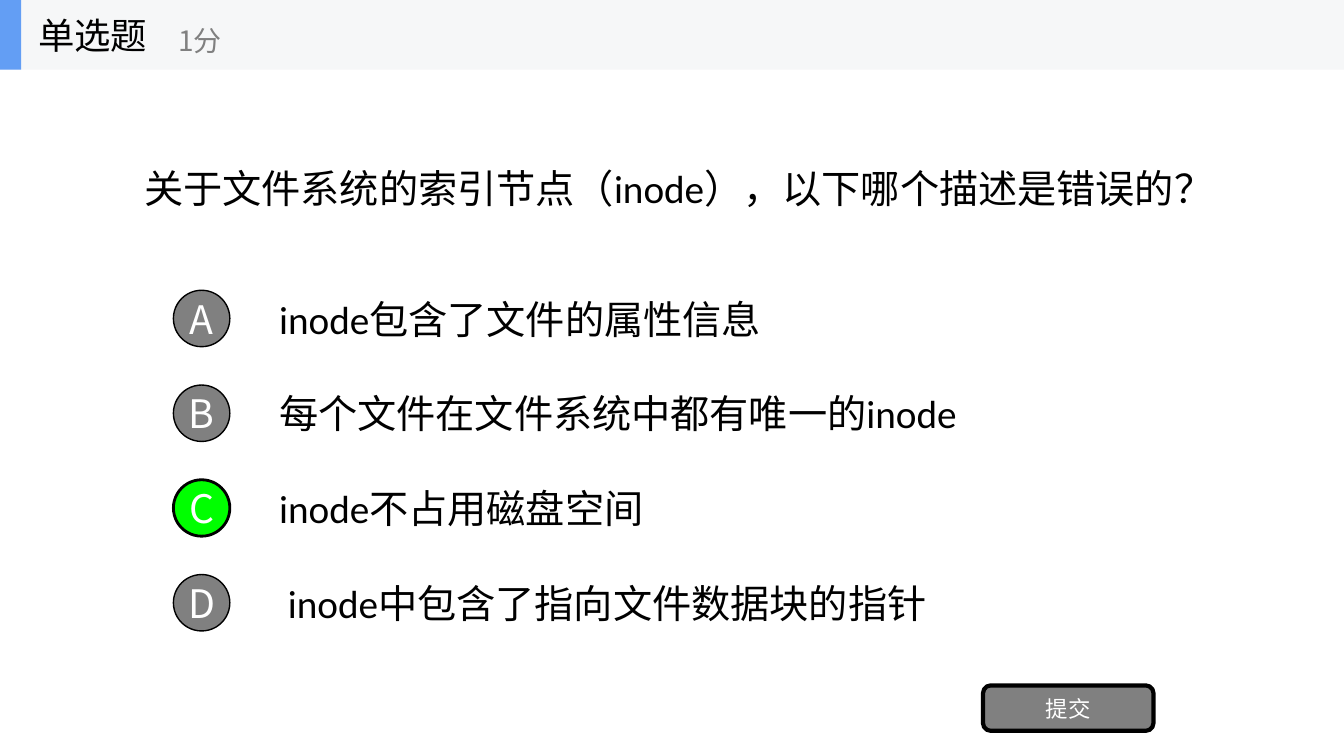
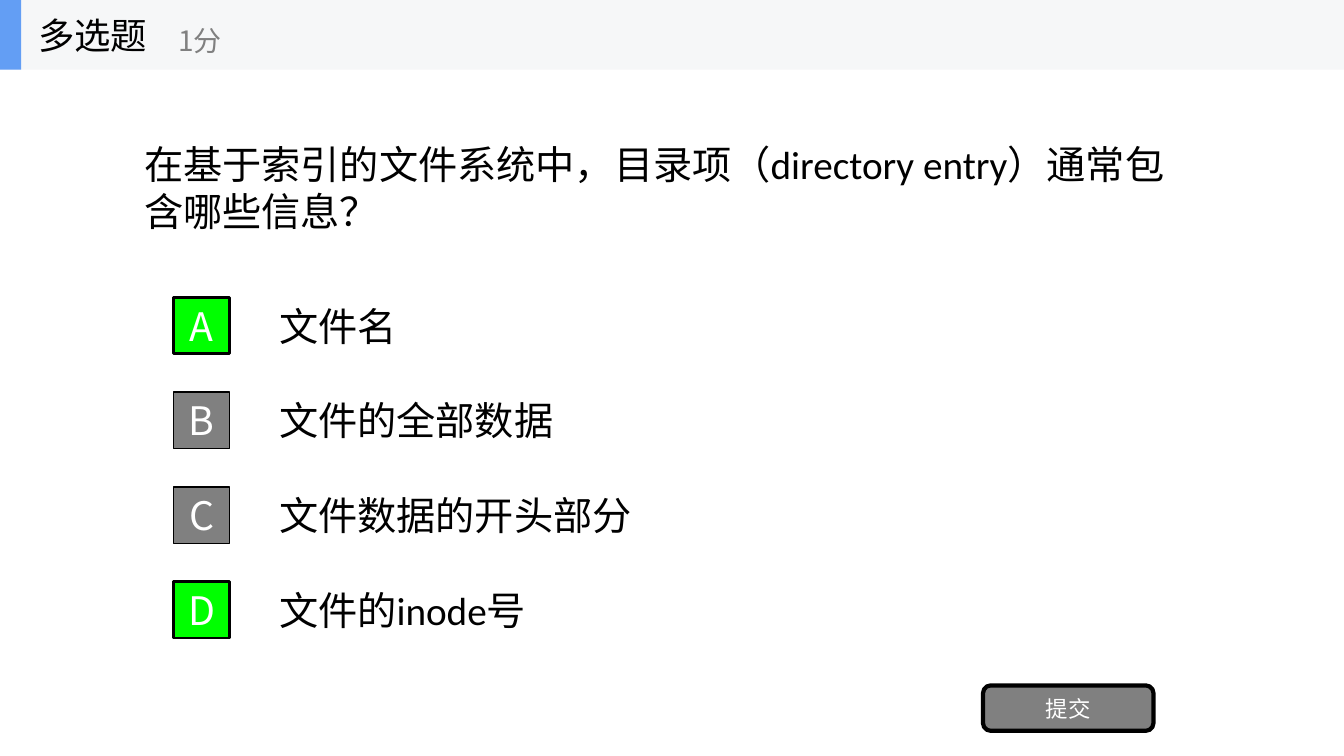
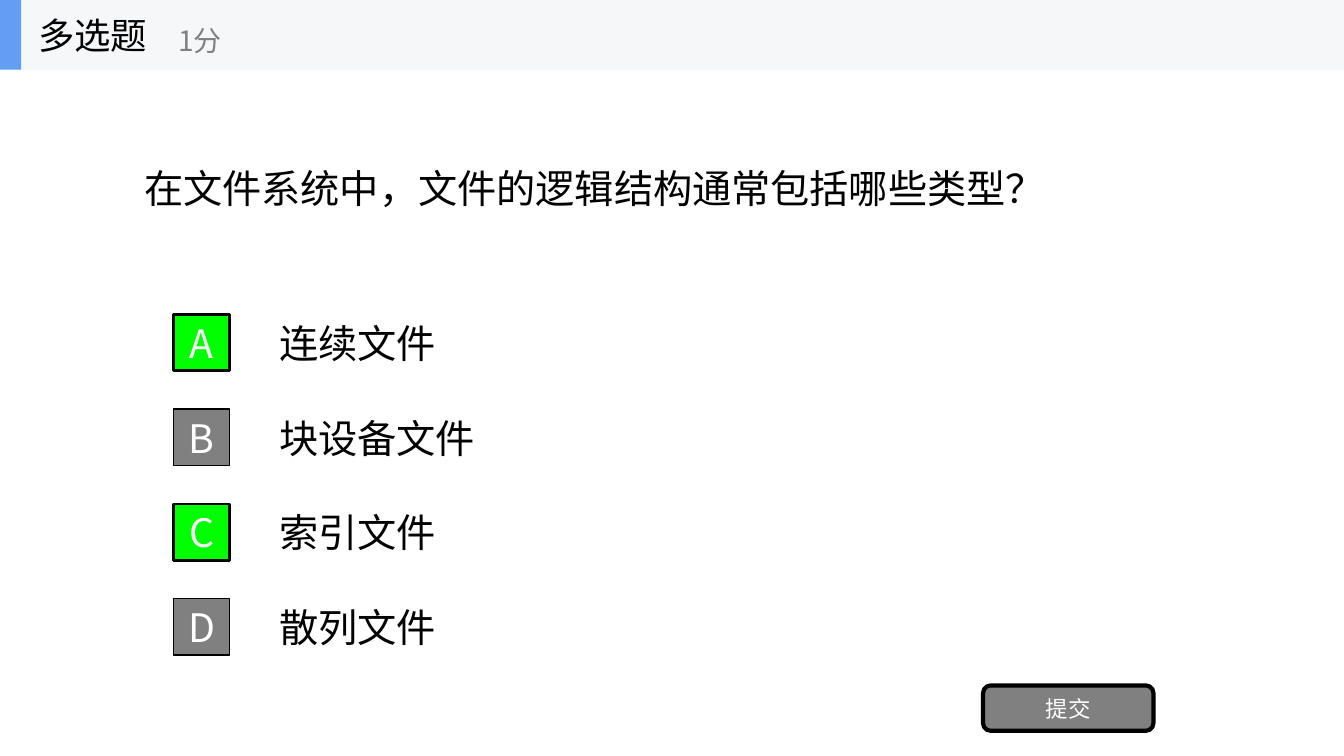
from pptx import Presentation
from pptx.dml.color import RGBColor
from pptx.enum.lang import MSO_LANGUAGE_ID
from pptx.enum.shapes import MSO_SHAPE
from pptx.enum.text import MSO_ANCHOR, MSO_AUTO_SIZE, PP_ALIGN
from pptx.oxml.xmlchemy import OxmlElement
from pptx.util import Inches, Pt

HAN_FONT = "Noto Sans CJK SC"
BLACK, WHITE, GRAY, GREEN = "000000", "FFFFFF", "808080", "00FF00"
BAND, ACCENT = "F6F7F8", "639EF4"
ROW_STEP = 0.94
MARKER_SIZE = 0.56
ANSWER_HEIGHT = 0.7

BODY_TEXT = {"size": Pt(28), "name": "Calibri", "color": BLACK}
MARKER_TEXT = {"size": Pt(28), "name": HAN_FONT, "color": WHITE}
BUTTON_TEXT = {"size": Pt(16), "name": HAN_FONT, "color": WHITE}
KIND_TEXT = {"size": Pt(26), "name": HAN_FONT, "color": BLACK}
SCORE_TEXT = {"size": Pt(20), "name": HAN_FONT, "color": GRAY}

questions = [
    {
        "kind": "单选题",
        "question": "关于文件系统的索引节点（inode），以下哪个描述是错误的？",
        "answers": [
            "inode包含了文件的属性信息",
            "每个文件在文件系统中都有唯一的inode",
            "inode不占用磁盘空间",
            " inode中包含了指向文件数据块的指针",
        ],
        "correct": "C",
        "marker": MSO_SHAPE.OVAL,
        "top": 2.88,
    },
    {
        "kind": "多选题",
        "question": "在基于索引的文件系统中，目录项（directory entry）通常包含哪些信息？",
        "answers": ["文件名", "文件的全部数据", "文件数据的开头部分", "文件的inode号"],
        "correct": "AD",
        "marker": MSO_SHAPE.RECTANGLE,
        "top": 2.95,
    },
    {
        "kind": "多选题",
        "question": "在文件系统中，文件的逻辑结构通常包括哪些类型？",
        "answers": ["连续文件", "块设备文件", "索引文件", "散列文件"],
        "correct": "AC",
        "marker": MSO_SHAPE.RECTANGLE,
        "top": 3.12,
    },
]


def write_text(shape, text, text_format, alignment=PP_ALIGN.LEFT):
    frame = shape.text_frame
    frame.word_wrap = True
    frame.auto_size = MSO_AUTO_SIZE.NONE
    frame.vertical_anchor = MSO_ANCHOR.MIDDLE
    paragraph = frame.paragraphs[0]
    paragraph.alignment = alignment
    run = paragraph.add_run()
    run.text = text
    run.font.language_id = MSO_LANGUAGE_ID.SIMPLIFIED_CHINESE
    for attribute, value in text_format.items():
        if attribute == "color":
            run.font.color.rgb = RGBColor.from_string(value)
        else:
            setattr(run.font, attribute, value)
    east_asian = OxmlElement("a:ea")
    east_asian.set("typeface", HAN_FONT)
    run.font._element.append(east_asian)


def add_box(shapes, kind, position, fill, line_width=0):
    shape = shapes.add_shape(kind, *[Inches(length) for length in position])
    shape.shadow.inherit = False
    shape.fill.solid()
    shape.fill.fore_color.rgb = RGBColor.from_string(fill)
    if line_width:
        shape.line.color.rgb = RGBColor.from_string(BLACK)
        shape.line.width = Pt(line_width)
    else:
        shape.line.fill.background()
    for side in ("left", "top", "right", "bottom"):
        setattr(shape.text_frame, f"margin_{side}", 0)
    return shape


presentation = Presentation()
presentation.slide_width = Inches(13.33)
presentation.slide_height = Inches(7.5)

for question in questions:
    slide = presentation.slides.add_slide(presentation.slide_layouts[5])
    title = slide.shapes.title
    title.left, title.top = Inches(1.33), Inches(0.69)
    title.width, title.height = Inches(10.67), Inches(2.34)
    write_text(title, question["question"], BODY_TEXT)

    for row, (letter, answer) in enumerate(zip("ABCD", question["answers"])):
        top = question["top"] + row * ROW_STEP
        answer_top = top - (ANSWER_HEIGHT - MARKER_SIZE) / 2
        answer_box = slide.shapes.add_textbox(
            Inches(2.67), Inches(answer_top), Inches(9.33), Inches(ANSWER_HEIGHT)
        )
        write_text(answer_box, answer, BODY_TEXT)

        fill, line_width = (GREEN, 2) if letter in question["correct"] else (GRAY, 1)
        position = (1.72, top, MARKER_SIZE, MARKER_SIZE)
        marker = add_box(slide.shapes, question["marker"], position, fill, line_width)
        write_text(marker, letter, MARKER_TEXT, PP_ALIGN.CENTER)

    button = add_box(
        slide.shapes, MSO_SHAPE.ROUNDED_RECTANGLE, (9.75, 6.8, 1.69, 0.45), GRAY, 3
    )
    write_text(button, "提交", BUTTON_TEXT, PP_ALIGN.CENTER)

    header = slide.shapes.add_group_shape()
    add_box(header.shapes, MSO_SHAPE.RECTANGLE, (0, 0, 13.33, 0.69), BAND)
    add_box(header.shapes, MSO_SHAPE.RECTANGLE, (0, 0, 0.21, 0.69), ACCENT)
    kind_box = header.shapes.add_textbox(Inches(0.28), 0, Inches(2.08), Inches(0.69))
    write_text(kind_box, question["kind"], KIND_TEXT)
    score_box = header.shapes.add_textbox(
        Inches(1.67), Inches(0.12), Inches(2.5), Inches(0.56)
    )
    write_text(score_box, "1分", SCORE_TEXT)

presentation.save("out.pptx")
